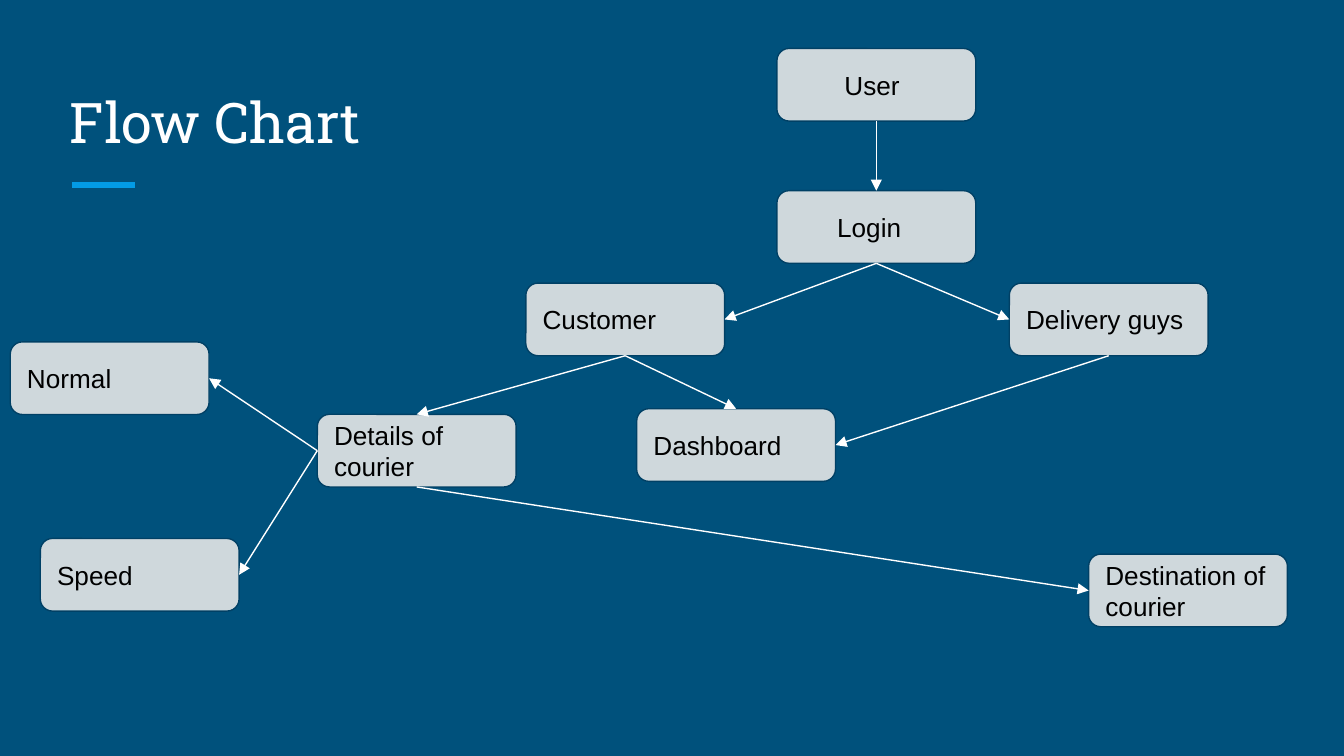
from lxml import etree
from pptx import Presentation
from pptx.dml.color import RGBColor
from pptx.enum import shapes, text
from pptx.oxml import ns
from pptx.util import Pt

COLORS = {
    "background": "00517C",
    "accent": "039BE5",
    "step": "CFD8DC",
    "step_edge": "004065",
    "step_text": "000000",
    "light": "FFFFFF",
}
STEP_W, STEP_H = 106.5, 38.9
TOP, LEFT, BOTTOM, RIGHT = range(4)  # connection sites of a step

# Step: left, top, text indent
STEPS = {
    "User": (416.2, 26, 27.2),
    "Login": (416.2, 102.2, 23.3),
    "Delivery guys": (540.7, 151.7, 0),
    "Details of courier": (170, 222, 0),
    "Customer": (281.7, 151.7, 0),
    "Dashboard": (341.1, 219, 0),
    "Speed": (21.6, 288.5, 0),
    "Normal": (5.5, 183.2, 0),
    "Destination of courier": (583.2, 296.9, 0),
}
# Flow: start step, start site, end step, end site
FLOWS = [
    ("User", BOTTOM, "Login", TOP),
    ("Login", BOTTOM, "Customer", RIGHT),
    ("Login", BOTTOM, "Delivery guys", LEFT),
    ("Customer", BOTTOM, "Details of courier", TOP),
    ("Customer", BOTTOM, "Dashboard", TOP),
    ("Details of courier", LEFT, "Normal", RIGHT),
    ("Details of courier", LEFT, "Speed", RIGHT),
    ("Details of courier", BOTTOM, "Destination of courier", LEFT),
    ("Delivery guys", BOTTOM, "Dashboard", RIGHT),
]


def color(name):
    return RGBColor.from_string(COLORS[name])


def write(shape, words, font, size, ink, anchor):
    frame = shape.text_frame
    frame.word_wrap = True
    frame.auto_size = text.MSO_AUTO_SIZE.NONE
    frame.vertical_anchor = anchor
    frame.margin_left = frame.margin_right = Pt(7.2)
    frame.margin_top = frame.margin_bottom = Pt(7.2)
    paragraph = frame.paragraphs[0]
    paragraph.alignment = text.PP_ALIGN.LEFT
    run = paragraph.add_run()
    run.text = words
    run.font.name = font
    run.font.size = Pt(size)
    run.font.color.rgb = color(ink)
    return paragraph


def add_line(slide, ink, width, start=(0, 0), end=(0, 0)):
    line = slide.shapes.add_connector(
        shapes.MSO_CONNECTOR.STRAIGHT, *map(Pt, start + end))
    line.line.color.rgb = color(ink)
    line.line.width = Pt(width)
    etree.SubElement(line._element.spPr, ns.qn("a:effectLst"))
    return line


def add_heading(slide, left, top, width, height):
    title = slide.shapes.title
    title.left, title.top = Pt(left), Pt(top)
    title.width, title.height = Pt(width), Pt(height)
    write(title, "Flow Chart", "Roboto Slab", 30, "light",
          text.MSO_ANCHOR.BOTTOM)
    # Accent rule below the title
    rule_x, rule_y = left + 8.4, top + height + 9
    add_line(slide, "accent", 3, (rule_x, rule_y), (rule_x + 33.5, rule_y))


def add_step(slide, label, left, top, indent):
    step = slide.shapes.add_shape(
        shapes.MSO_SHAPE.FLOWCHART_ALTERNATE_PROCESS,
        Pt(left), Pt(top), Pt(STEP_W), Pt(STEP_H))
    step.shadow.inherit = False
    step.fill.solid()
    step.fill.fore_color.rgb = color("step")
    step.line.color.rgb = color("step_edge")
    step.line.width = Pt(0.75)
    paragraph = write(step, label, "Arial", 14, "step_text",
                      text.MSO_ANCHOR.MIDDLE)
    if indent:
        paragraph._p.get_or_add_pPr().set("marL", str(Pt(indent)))
    return step


def add_flow(slide, start, start_site, end, end_site):
    arrow = add_line(slide, "light", 0.75)
    arrow.begin_connect(start, start_site)
    arrow.end_connect(end, end_site)
    outline = arrow.line._get_or_add_ln()
    etree.SubElement(outline, ns.qn("a:tailEnd"), type="triangle",
                     w="med", len="med")


def add_flow_chart(slide, left, top):
    steps = {label: add_step(slide, label, left + x, top + y, indent)
             for label, (x, y, indent) in STEPS.items()}
    for start, start_site, end, end_site in FLOWS:
        add_flow(slide, steps[start], start_site, steps[end], end_site)


def main():
    deck = Presentation()
    deck.slide_width, deck.slide_height = Pt(720), Pt(405)
    slide = deck.slides.add_slide(deck.slide_layouts[5])
    slide.background.fill.solid()
    slide.background.fill.fore_color.rgb = color("background")
    add_heading(slide, 30.2, 36, 659, 54)
    add_flow_chart(slide, 0, 0)
    deck.save("out.pptx")


if __name__ == "__main__":
    main()
